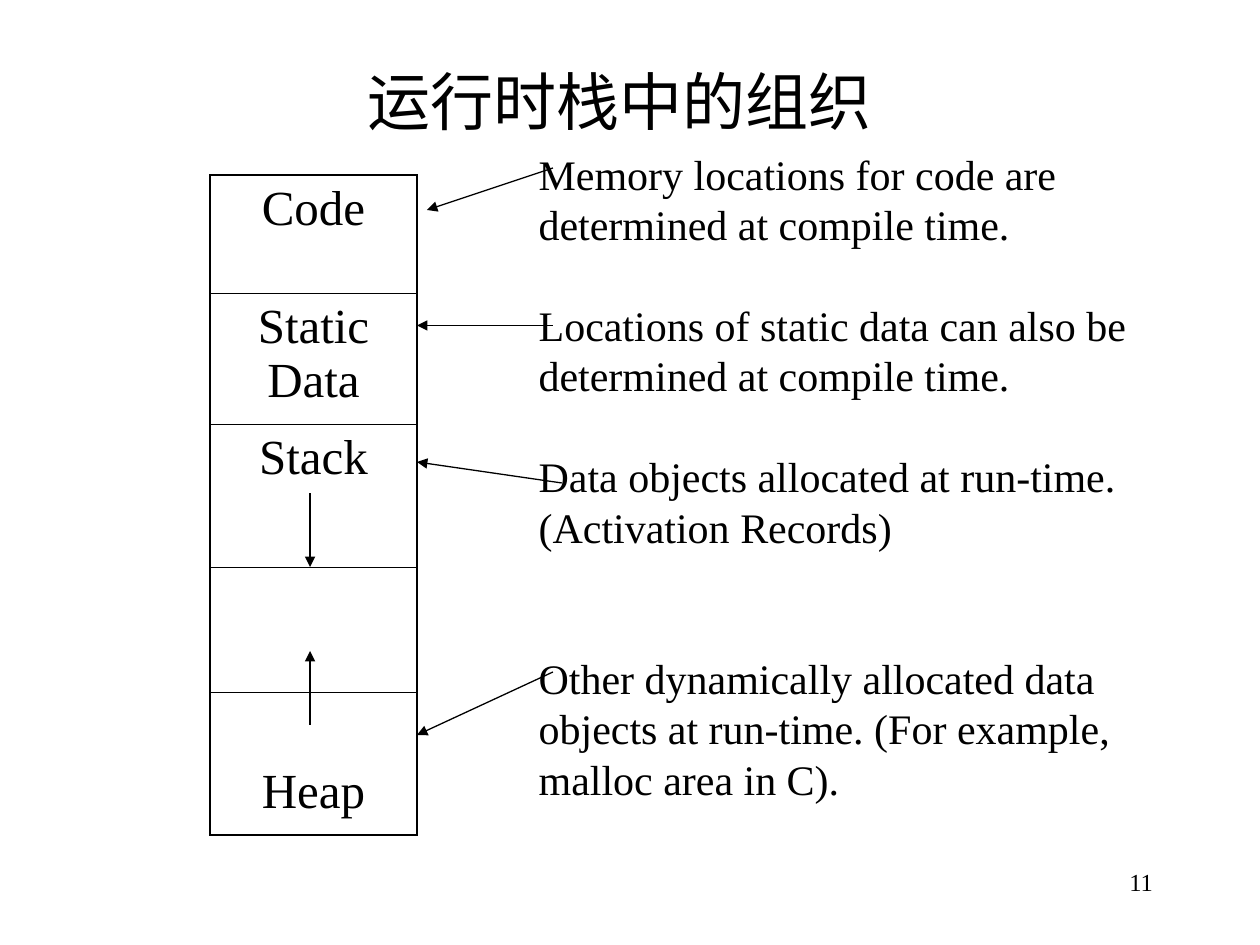
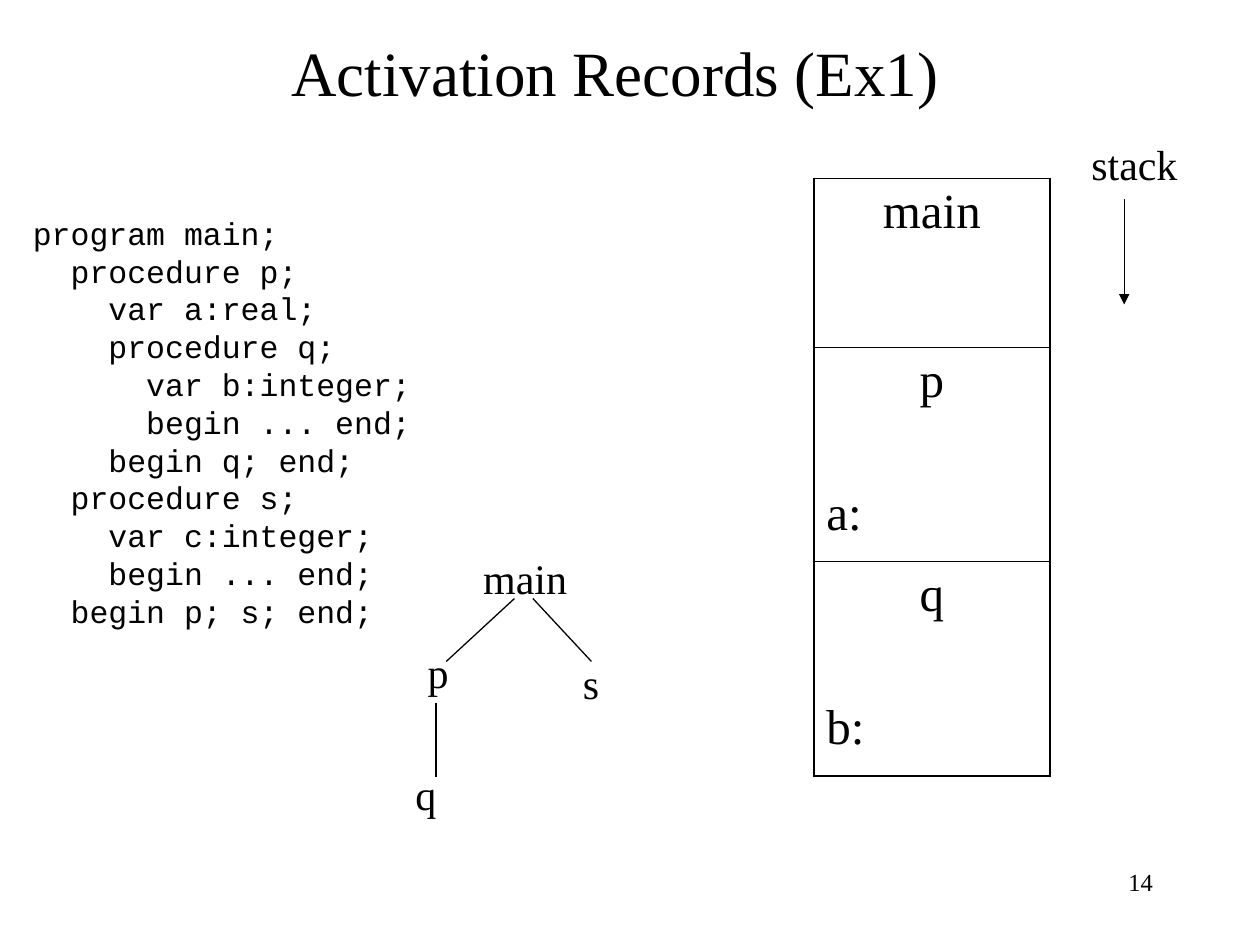
from lxml import etree
from pptx import Presentation
from pptx.dml.color import RGBColor
from pptx.enum.text import MSO_AUTO_SIZE, PP_ALIGN
from pptx.oxml.ns import qn
from pptx.util import Pt

LEFT, CENTER, RIGHT = PP_ALIGN.LEFT, PP_ALIGN.CENTER, PP_ALIGN.RIGHT
NO_AUTOFIT, FIT_SHAPE = MSO_AUTO_SIZE.NONE, MSO_AUTO_SIZE.SHAPE_TO_FIT_TEXT
BLACK = RGBColor(0, 0, 0)
SERIF, MONO = "Times New Roman", "Courier New"
TITLE_SIZE, CELL_SIZE, TEXT_SIZE, CODE_SIZE, PAGE_SIZE = 36, 28, 24, 18, 14
LEADING = 1.2        # line pitch of text boxes, as a multiple of the font size
CELL_GAP = 7         # space between paragraphs in a cell
CELL_LINE = 31       # height of one line in a cell
OUTER, INNER = 1.08, 0.45

# Slide 1: memory areas as (height, label, variable), notes as (lines, empty lines above)
MEMORY_TITLE = "运行时栈中的组织"
MEMORY_AREAS = [
    (67.5, "Code", ""),
    (75, "Static Data", ""),
    (81.7, "Stack", ""),
    (71.4, "", ""),
    (81.7, "Heap", ""),
]
MEMORY_NOTES = [
    (["Memory locations for code are", "determined at compile time."], 0),
    (["Locations of static data can also be", "determined at compile time."], 1),
    (["Data objects allocated at run-time.", "(Activation Records)"], 1),
    (["Other dynamically allocated data", "objects at run-time. (For example,",
      "malloc area in C)."], 2),
]
GROWTH_ARROWS = [(177.2, 282, 177.2, 324), (177.2, 414, 177.2, 372)]
NOTE_ARROWS = [
    (316, 96, 244, 120),
    (316, 186, 238.3, 186),
    (321, 276, 238.3, 264),
    (316, 384, 238.3, 420),
]

# Slide 2: program, activation records and call tree
RECORDS_TITLE = "Activation Records (Ex1)"
PROGRAM = """program main;
  procedure p;
    var a:real;
    procedure q;
      var b:integer;
      begin ... end;
    begin q; end;
  procedure s;
    var c:integer;
    begin ... end;
  begin p; s; end;"""
RECORDS = [(96.5, "main", ""), (122.4, "p", "a:"), (122.4, "q", "b:")]
LABELS = [  # text, left, top, width
    ("stack", 616.5, 75.5, 65),
    ("main", 269, 312, 64),
    ("p", 237.3, 366, 27),
    ("q", 230.3, 435.5, 27),
    ("s", 326, 372, 24),
]
STACK_ARROW = (642.4, 114, 642.4, 174)
TREE_EDGES = [(294, 342, 255, 378), (304.5, 342, 338, 378), (249.2, 402, 249.2, 444)]


def format_paragraph(p, size, font=SERIF, align=LEFT):
    p.alignment = align
    p.font.size = Pt(size)
    p.font.name = font
    p.font.color.rgb = BLACK


def add_text(s, lines, left, top, width, size=TEXT_SIZE, font=SERIF, align=LEFT, wrap=False):
    """Text box from (line, empty lines above) pairs, at a fixed line pitch."""
    pitch = size * LEADING
    height = 7.2 + pitch * sum(1 + gap for _, gap in lines)
    tf = s.shapes.add_textbox(Pt(left), Pt(top), Pt(width), Pt(height)).text_frame
    tf.word_wrap = wrap
    tf.auto_size = NO_AUTOFIT if wrap else FIT_SHAPE
    for i, (line, gap) in enumerate(lines):
        p = tf.add_paragraph() if i else tf.paragraphs[0]
        p.text = line
        p.line_spacing = Pt(pitch)
        if gap:
            p.space_before = Pt(gap * pitch)
        format_paragraph(p, size, font, align)


def add_line(s, ends, arrow=False):
    line = s.shapes.add_connector(1, *map(Pt, ends))
    line.line.color.rgb = BLACK
    line.line.width = Pt(0.75)
    if arrow:
        etree.SubElement(line.line._get_or_add_ln(), qn("a:tailEnd"), type="triangle")
    etree.SubElement(line._element.spPr, qn("a:effectLst"))


def set_borders(cell, top, bottom):
    tc_pr = cell._tc.get_or_add_tcPr()
    for side, width in (("L", OUTER), ("R", OUTER), ("T", top), ("B", bottom)):
        ln = etree.SubElement(tc_pr, qn("a:ln" + side), w=str(Pt(width)))
        fill = etree.SubElement(ln, qn("a:solidFill"))
        etree.SubElement(fill, qn("a:srgbClr"), val=str(BLACK))


def add_memory_table(s, areas, left, top, width):
    """One column of memory areas; returns its cells from top to bottom."""
    total = sum(height for height, _, _ in areas)
    table = s.shapes.add_table(len(areas), 1, Pt(left), Pt(top), Pt(width), Pt(total)).table
    table.first_row = table.horz_banding = False
    last = len(areas) - 1
    cells = []
    for i, (height, label, variable) in enumerate(areas):
        table.rows[i].height = Pt(height)
        cell = table.cell(i, 0)
        set_borders(cell, INNER if i else OUTER, INNER if i < last else OUTER)
        cell.fill.background()
        p = cell.text_frame.paragraphs[0]
        p.text = label
        format_paragraph(p, CELL_SIZE, align=CENTER)
        if variable:
            p = cell.text_frame.add_paragraph()
            p.text = variable
            p.space_before = Pt(CELL_LINE + 2 * CELL_GAP)
            format_paragraph(p, CELL_SIZE)
        cells.append(cell)
    return cells


def add_slide(prs, title, box, number):
    """Slide with the shared title style and page number."""
    s = prs.slides.add_slide(prs.slide_layouts[5])
    sp = s.shapes.title
    sp.left, sp.top, sp.width, sp.height = map(Pt, box)
    sp.text_frame.auto_size = NO_AUTOFIT
    p = sp.text_frame.paragraphs[0]
    p.text = title
    format_paragraph(p, TITLE_SIZE, align=CENTER)
    add_text(s, [(number, 0)], 516, 492, 150, PAGE_SIZE, align=RIGHT, wrap=True)
    return s


def build_memory_slide(prs):
    s = add_slide(prs, MEMORY_TITLE, (53.5, 37.5, 601, 40), "11")
    cells = add_memory_table(s, MEMORY_AREAS, 120, 100, 118.3)
    cells[-1].margin_top = Pt(3.6 + CELL_LINE + CELL_GAP)  # Heap sits one line lower
    lines = [(line, 0 if i else gap)
             for note, gap in MEMORY_NOTES for i, line in enumerate(note)]
    add_text(s, lines, 300.7, 81.2, 356.5)
    for ends in GROWTH_ARROWS + NOTE_ARROWS:
        add_line(s, ends, arrow=True)


def build_records_slide(prs):
    s = add_slide(prs, RECORDS_TITLE, (48.5, 26, 606, 30), "14")
    add_text(s, [(line, 0) for line in PROGRAM.split("\n")], 11.7, 118.7, 230.5,
             CODE_SIZE, MONO)
    add_memory_table(s, RECORDS, 465, 102, 135)
    for text, left, top, width in LABELS:
        add_text(s, [(text, 0)], left, top, width)
    add_line(s, STACK_ARROW, arrow=True)
    for ends in TREE_EDGES:
        add_line(s, ends)


def main():
    prs = Presentation()
    prs.slide_width, prs.slide_height = Pt(720), Pt(540)
    build_memory_slide(prs)
    build_records_slide(prs)
    prs.save("out.pptx")


if __name__ == "__main__":
    main()
